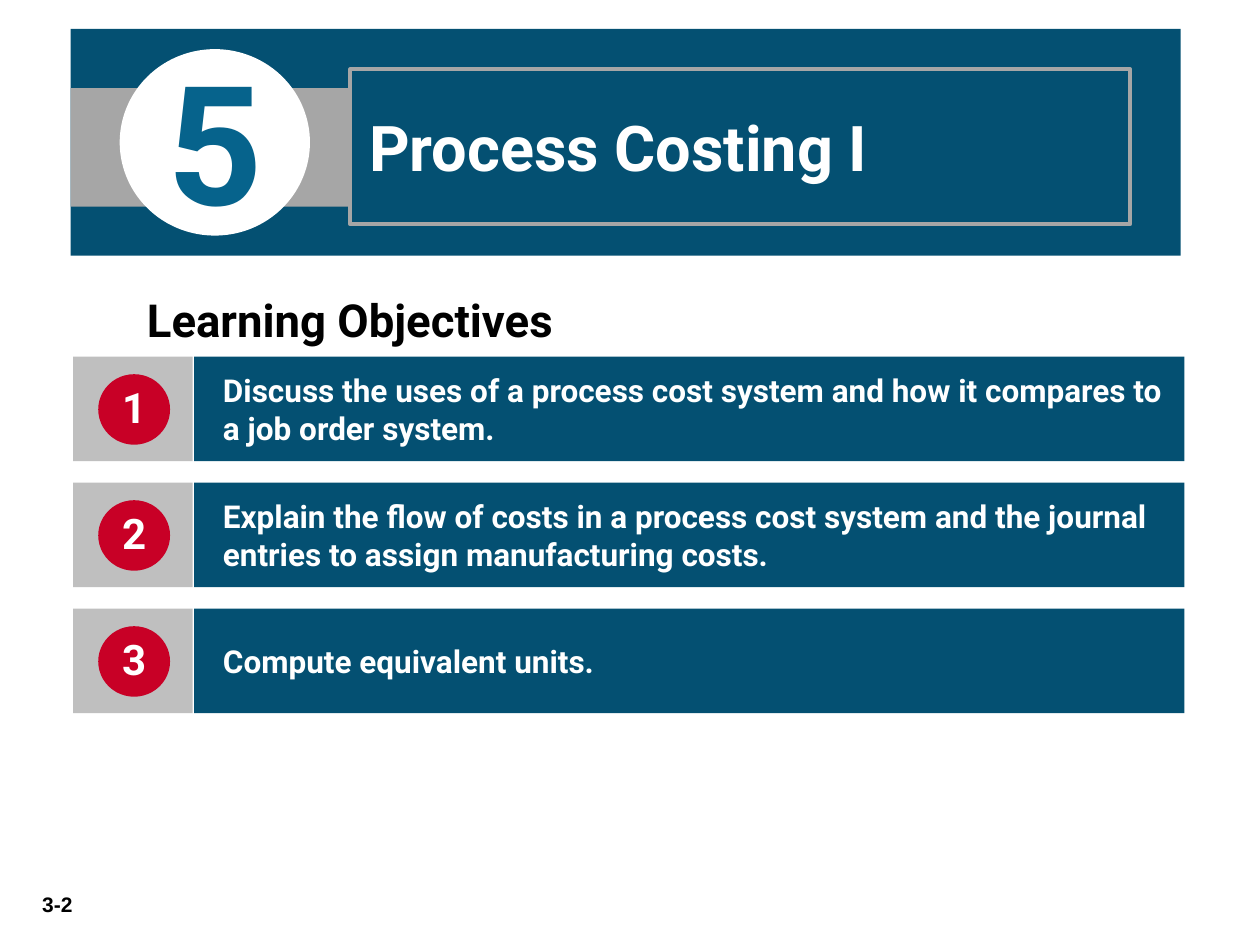
from pptx import Presentation
from pptx.dml.color import RGBColor
from pptx.enum.shapes import MSO_SHAPE
from pptx.enum.text import MSO_ANCHOR, MSO_AUTO_SIZE, PP_ALIGN
from pptx.util import Inches, Pt

COLORS = {
    "navy": "045072", "blue": "06638C", "red": "C80026", "gray": "A6A6A6",
    "light": "BFBFBF", "white": "FFFFFF", "black": "000000",
}
OBJECTIVES = [
    "Discuss the uses of a process cost system and how it compares to a job order system.",
    "Explain the flow of costs in a process cost system and the journal entries "
    "to assign manufacturing costs.",
    "Compute equivalent units.",
]
BADGE_MARGINS = (0.09, 0, 0.09, 0.05)
TEXT_MARGINS = (0.09, 0.05, 0.09, 0.05)


def color(name):
    return RGBColor.from_string(COLORS[name])


def set_attributes(target, values):
    for name, value in values.items():
        setattr(target, name, value)


class SlideBuilder:
    def __init__(self, slide, font="Roboto"):
        self.slide = slide
        self.font = font

    def add_text(self, shape, text, size, fill="white", align=PP_ALIGN.CENTER,
                 anchor=MSO_ANCHOR.MIDDLE, margins=TEXT_MARGINS, spacing=1.0, font=None):
        frame = shape.text_frame
        frame.text = text
        left, top, right, bottom = map(Inches, margins)
        set_attributes(frame, {
            "word_wrap": True, "auto_size": MSO_AUTO_SIZE.NONE, "vertical_anchor": anchor,
            "margin_left": left, "margin_top": top,
            "margin_right": right, "margin_bottom": bottom,
        })
        paragraph = frame.paragraphs[0]
        set_attributes(paragraph, {
            "alignment": align, "line_spacing": spacing, "space_before": Pt(0),
        })
        run_font = paragraph.runs[0].font
        set_attributes(run_font, {"name": font or self.font, "size": Pt(size), "bold": True})
        run_font.color.rgb = color(fill)

    def block(self, box, fill, kind=MSO_SHAPE.RECTANGLE):
        shape = self.slide.shapes.add_shape(kind, *map(Inches, box))
        shape.shadow.inherit = False
        shape.fill.solid()
        shape.fill.fore_color.rgb = color(fill)
        shape.line.fill.background()
        return shape

    def badge(self, box, fill, text, size, text_color="white"):
        shape = self.block(box, fill, MSO_SHAPE.OVAL)
        self.add_text(shape, text, size, text_color, margins=BADGE_MARGINS)

    def label(self, box, text, size, **style):
        shape = self.slide.shapes.add_textbox(*map(Inches, box))
        self.add_text(shape, text, size, "black", anchor=MSO_ANCHOR.TOP, **style)

    def title(self, box, text, size):
        shape = self.slide.shapes.title
        left, top, width, height = map(Inches, box)
        set_attributes(shape, {"left": left, "top": top, "width": width, "height": height})
        shape.line.color.rgb = color("gray")
        shape.line.width = Pt(2.25)
        self.add_text(shape, text, size, align=PP_ALIGN.LEFT, margins=(0.15, 0.05, 0.09, 0.05))
        # Bring the title in front of the banner
        self.slide.shapes._spTree.append(shape._element)

    def objective(self, top, number, text):
        self.block((0.58, top, 0.95, 0.83), "light")
        bar = self.block((1.54, top, 7.86, 0.83), "navy")
        self.add_text(bar, text, 18, align=PP_ALIGN.LEFT, margins=(0.23, 0.05, 0.1, 0.05))
        self.badge((0.78, top + 0.14, 0.57, 0.56), "red", str(number), 24)


def main():
    presentation = Presentation()
    presentation.slide_width = Inches(10)
    presentation.slide_height = Inches(7.5)
    builder = SlideBuilder(presentation.slides.add_slide(presentation.slide_layouts[5]))

    # Page number
    builder.label((0.08, 7.03, 0.75, 0.3), "3-2", 12, font="Arial")

    # Chapter banner
    builder.block((0.56, 0.23, 8.81, 1.8), "navy")
    builder.block((0.56, 0.7, 2.22, 0.94), "gray")
    builder.title((2.78, 0.55, 6.19, 1.23), "Process Costing I", 36)
    builder.badge((0.95, 0.39, 1.51, 1.48), "white", "5", 95, "blue")

    # Learning objectives
    builder.label((0.48, 2.18, 4.6, 0.57), "Learning Objectives", 26, spacing=1.2)
    for index, text in enumerate(OBJECTIVES):
        builder.objective(2.83 + index, index + 1, text)

    presentation.save("out.pptx")


if __name__ == "__main__":
    main()
